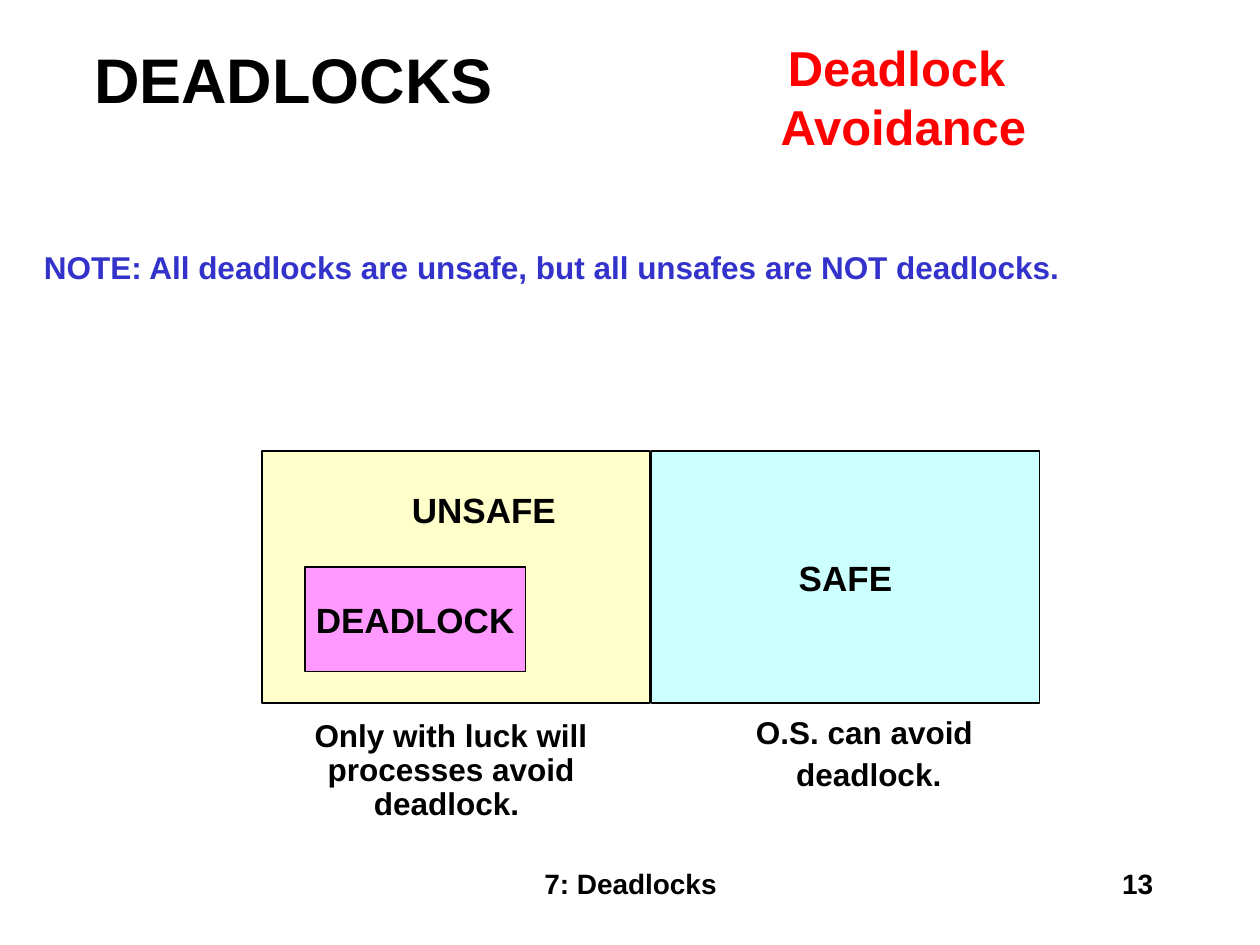
from pptx import Presentation
from pptx.dml.color import RGBColor
from pptx.enum import shapes, text
from pptx.util import Inches, Pt

BLACK = RGBColor(0x00, 0x00, 0x00)
RED = RGBColor(0xFF, 0x00, 0x00)
BLUE = RGBColor(0x33, 0x33, 0xCC)
CYAN = RGBColor(0xCC, 0xFF, 0xFF)
YELLOW = RGBColor(0xFF, 0xFF, 0xCC)
PINK = RGBColor(0xFF, 0x99, 0xFF)

LEFT, CENTER = text.PP_ALIGN.LEFT, text.PP_ALIGN.CENTER
RIGHT, JUSTIFY = text.PP_ALIGN.RIGHT, text.PP_ALIGN.JUSTIFY
TOP, MIDDLE = text.MSO_ANCHOR.TOP, text.MSO_ANCHOR.MIDDLE


def write(shape, words, size, color=BLACK, align=CENTER, anchor=TOP,
          wrap=True, before=0, spacing=1.0):
    frame = shape.text_frame
    frame.text = words
    frame.auto_size = text.MSO_AUTO_SIZE.NONE
    frame.word_wrap = wrap
    frame.vertical_anchor = anchor
    for paragraph in frame.paragraphs:
        paragraph.alignment = align
        paragraph.space_before = Pt(before)
        paragraph.line_spacing = spacing
        for run in paragraph.runs:
            run.font.name = "Arial"
            run.font.size = Pt(size)
            run.font.bold = True
            run.font.color.rgb = color


prs = Presentation()
prs.slide_width, prs.slide_height = Inches(10), Inches(7.5)
slide = prs.slides.add_slide(prs.slide_layouts[5])

# Title
title = slide.shapes.title
title.left, title.top = Inches(0.33), Inches(0.25)
title.width, title.height = Inches(4), Inches(0.75)
write(title, "DEADLOCKS", 36, anchor=MIDDLE)

# State regions: safe and unsafe side by side, deadlock inside unsafe
regions = [
    ("SAFE", 5.17, 3.58, 3.08, 2, CYAN),
    ("", 2.08, 3.58, 3.08, 2, YELLOW),
    ("DEADLOCK", 2.42, 4.5, 1.75, 0.83, PINK),
]
for label, left, top, width, height, fill in regions:
    region = slide.shapes.add_shape(
        shapes.MSO_SHAPE.RECTANGLE,
        Inches(left), Inches(top), Inches(width), Inches(height))
    region.shadow.inherit = False
    region.fill.solid()
    region.fill.fore_color.rgb = fill
    region.line.color.rgb = BLACK
    region.line.width = Pt(0.75)
    if label:
        write(region, label, 20, anchor=MIDDLE, wrap=False)

# Topic, note, region label, captions and footer
caption = dict(before=4.5, spacing=0.9)
texts = [
    ("Deadlock \nAvoidance", 4.92, 0.25, 4.5, 1.04, 28, dict(color=RED)),
    ("NOTE: All deadlocks are unsafe, but all unsafes are NOT deadlocks.",
     0.25, 1.92, 9.42, 0.5, 18, dict(color=BLUE, align=JUSTIFY, before=4.5)),
    ("UNSAFE", 3.17, 3.83, 1.34, 0.44, 20, dict(align=LEFT, wrap=False)),
    ("Only with luck will processes avoid deadlock. ",
     2.08, 5.67, 3, 0.91, 18, caption),
    ("O.S. can avoid \ndeadlock.",
     5.9, 5.64, 1.99, 0.71, 18, dict(caption, wrap=False)),
    ("7: Deadlocks", 3.42, 6.83, 3.17, 0.5, 16, {}),
    ("13", 7.17, 6.83, 2.08, 0.5, 16, dict(align=RIGHT)),
]
for words, left, top, width, height, size, style in texts:
    box = slide.shapes.add_textbox(
        Inches(left), Inches(top), Inches(width), Inches(height))
    write(box, words, size, **style)

prs.save("out.pptx")
